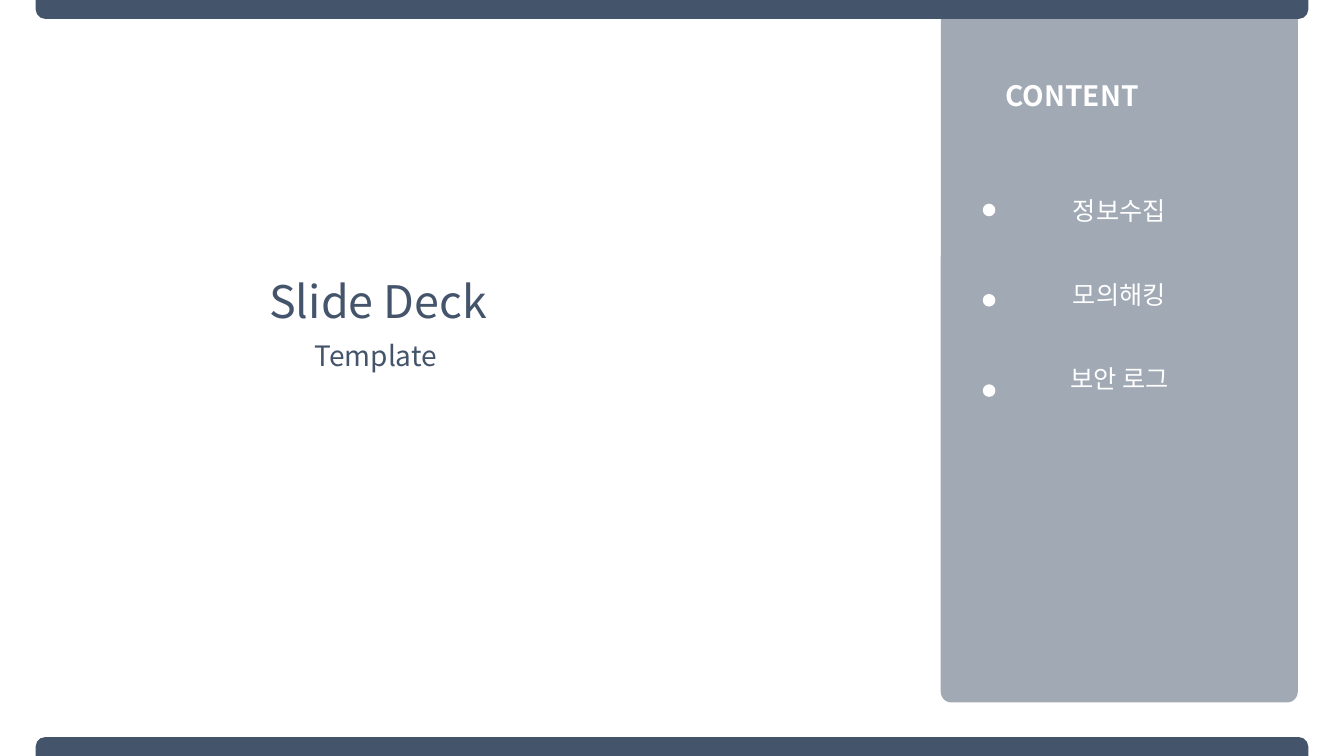
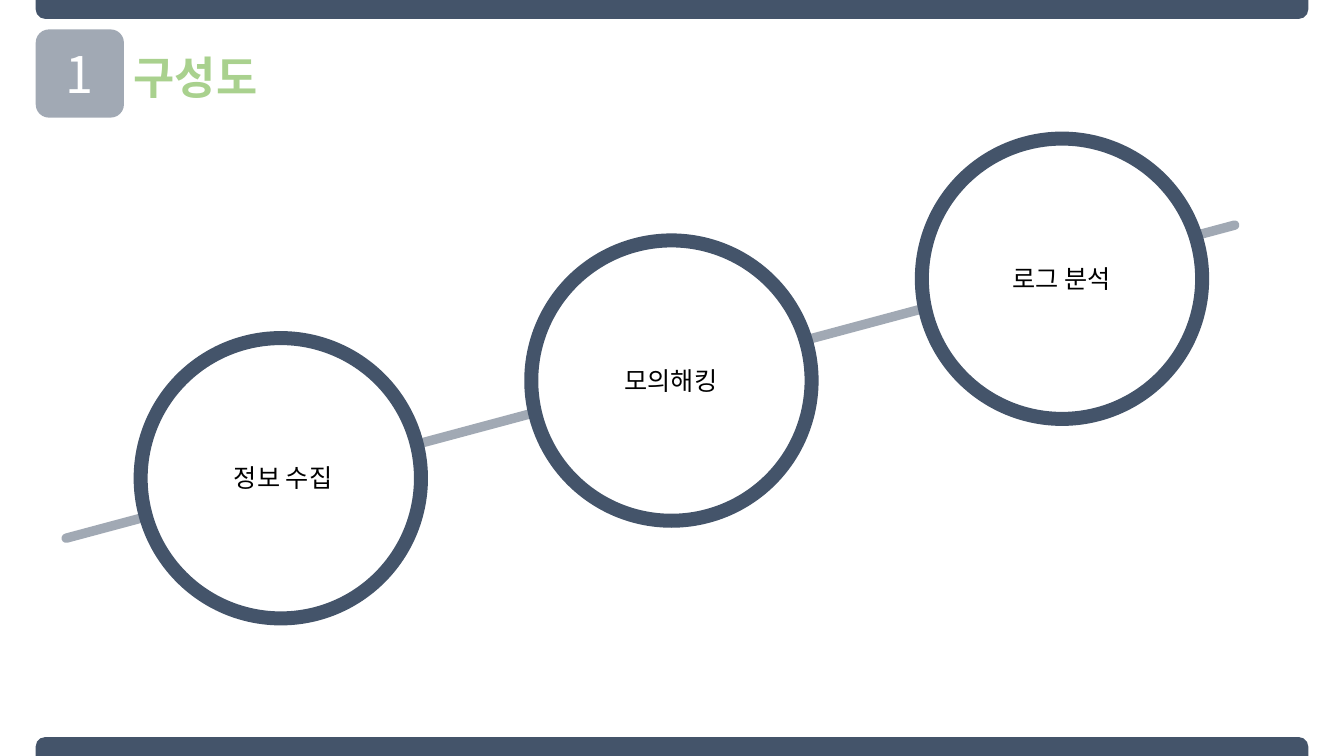
from dataclasses import dataclass

from lxml.etree import SubElement
from pptx import Presentation
from pptx.dml.color import RGBColor
from pptx.enum.shapes import MSO_SHAPE as Preset
from pptx.enum.text import MSO_ANCHOR as Anchor, PP_ALIGN as Align
from pptx.oxml.ns import qn
from pptx.util import Emu, Pt

PX = 9525


@dataclass(frozen=True)
class Theme:
    navy: str = "44546A"
    green: str = "A9D18E"
    white: str = "FFFFFF"
    black: str = "000000"
    font: str = "Noto Sans CJK KR"
    digit_font: str = "Noto Sans CJK SC"
    body: int = 18
    heading: int = 20
    title: int = 32
    number: int = 36
    tint: int = 50
    ring: int = 10


@dataclass(frozen=True)
class Box:
    left: int
    top: int
    width: int
    height: int

    def inner(self, left, top, width, height):
        return Box(self.left + left, self.top + top, width, height)

    def emu(self):
        return [px(n) for n in (self.left, self.top, self.width, self.height)]


THEME = Theme()
PAGE = Box(0, 0, 1280, 720)


def px(length):
    return Emu(length * PX)


def apply(target, values):
    for name, value in values.items():
        setattr(target, name, value)


def write(shape, lines, size, color, align=Align.CENTER, font=THEME.font,
          bold=False, gap=0, **frame_values):
    frame = shape.text_frame
    apply(frame, {"word_wrap": True, **frame_values})
    for index, line in enumerate(lines):
        para = frame.add_paragraph() if index else frame.paragraphs[0]
        apply(para, {"alignment": align, "space_after": px(gap)})
        span = para.add_run()
        span.text = line
        apply(span.font, {"name": font, "size": Pt(size), "bold": bold})
        span.font.color.rgb = RGBColor.from_string(color)
        SubElement(span.font._element, qn("a:ea"), typeface=font)


def add_text(page, box, line, size, color, **values):
    write(page.shapes.add_textbox(*box.emu()), [line], size, color, **values)


def add_block(page, preset, box, color, adjustments=(), alpha=100, ring=None, rotation=0):
    shape = page.shapes.add_shape(preset, *box.emu())
    apply(shape, {"rotation": rotation})
    shape.shadow.inherit = False
    shape.fill.solid()
    shape.fill.fore_color.rgb = RGBColor.from_string(color)
    if alpha < 100:
        tone = shape._element.spPr.find(qn("a:solidFill"))[0]
        SubElement(tone, qn("a:alpha"), val=str(alpha * 1000))
    for index, value in enumerate(adjustments):
        shape.adjustments[index] = value
    if ring:
        shape.line.width = Pt(ring)
        shape.line.color.rgb = RGBColor.from_string(THEME.navy)
    else:
        shape.line.fill.background()
    return shape


def add_bands(page, box):
    margin, height = 34, 18
    for top, rotation in ((0, 180), (box.height - height, 0)):
        band = box.inner(margin, top, box.width - 2 * margin, height)
        add_block(page, Preset.ROUND_2_SAME_RECTANGLE, band, THEME.navy, (0.5, 0),
                  rotation=rotation)


def add_contents_panel(page, box, items):
    step, line_height = 86, 35
    panel = add_block(page, Preset.ROUNDED_RECTANGLE, box, THEME.navy, (0.03,), THEME.tint)
    write(panel, items, THEME.body, THEME.white, gap=step - line_height,
          vertical_anchor=Anchor.TOP, margin_top=px(183))
    add_text(page, box.inner(52, 70, 256, 42), "CONTENT", THEME.heading, THEME.white,
             align=Align.JUSTIFY, bold=True)
    for index in range(len(items)):
        add_block(page, Preset.OVAL, box.inner(40, 194 + index * step, 12, 12), THEME.white)


def add_cover_title(page, box, title, subtitle):
    add_text(page, box.inner(0, 0, box.width, 61), title, THEME.title, THEME.navy,
             align=Align.JUSTIFY)
    add_text(page, box.inner(43, 62, box.width - 43, 42), subtitle, THEME.heading,
             THEME.navy, align=Align.JUSTIFY)


def add_section_header(page, box, number, title):
    side = box.height
    badge = add_block(page, Preset.ROUNDED_RECTANGLE, box.inner(0, 0, side, side),
                      THEME.navy, (0.15,), THEME.tint)
    write(badge, [number], THEME.number, THEME.white, font=THEME.digit_font,
          vertical_anchor=Anchor.MIDDLE)
    add_text(page, box.inner(side, 15, box.width - side, 61), title, THEME.title,
             THEME.green, align=Align.LEFT, bold=True, word_wrap=False)


def add_stage_diagram(page, box, stages):
    diameter, step, first = 267, 372, 95
    label_width, label_height = 214, 38
    add_block(page, Preset.ROUNDED_RECTANGLE, box.inner(0, 227, box.width, 9),
              THEME.navy, (0.5,), THEME.tint, rotation=345)
    for index, (label, top) in enumerate(stages):
        circle = box.inner(first + index * step, top, diameter, diameter)
        add_block(page, Preset.OVAL, circle, THEME.white, ring=THEME.ring)
        caption = circle.inner((diameter - label_width) // 2, (diameter - label_height) // 2,
                               label_width, label_height)
        add_text(page, caption, label, THEME.body, THEME.black)


def build_cover(page):
    add_contents_panel(page, Box(896, 0, 340, 669), ["정보수집", "모의해킹", "보안 로그"])
    add_bands(page, PAGE)
    add_cover_title(page, Box(247, 256, 333, 104), "Slide Deck", "Template")


def build_structure(page):
    add_bands(page, PAGE)
    add_section_header(page, Box(34, 28, 233, 84), "1", "구성도")
    add_stage_diagram(page, Box(39, 132, 1161, 457),
                      [(" 정보 수집", 190), ("모의해킹", 97), ("로그 분석", 0)])


def main():
    deck = Presentation()
    apply(deck, {"slide_width": px(PAGE.width), "slide_height": px(PAGE.height)})
    for build in (build_cover, build_structure):
        build(deck.slides.add_slide(deck.slide_layouts[6]))
    deck.save("out.pptx")


if __name__ == "__main__":
    main()
